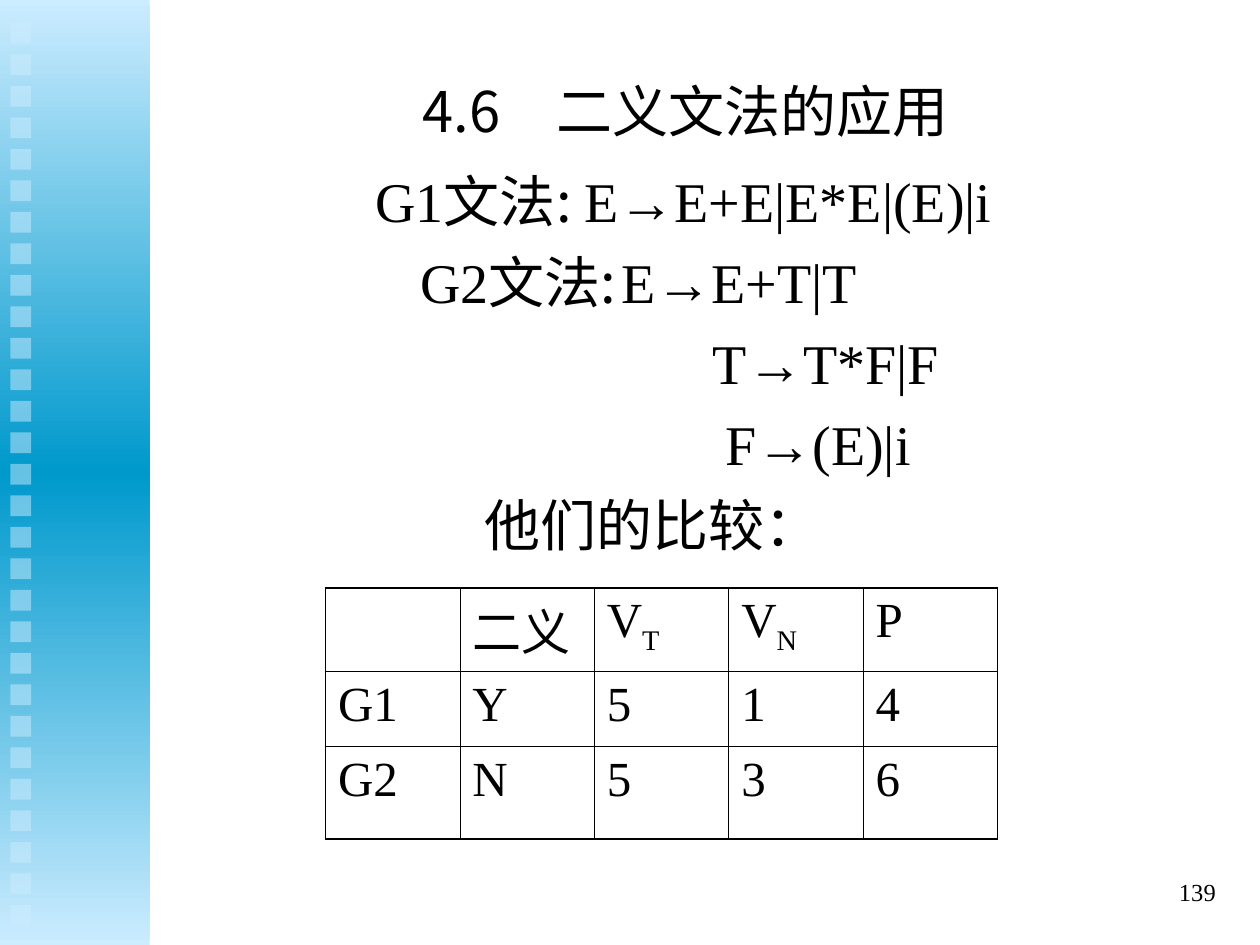
from copy import deepcopy

from lxml.etree import SubElement
from pptx import Presentation
from pptx.dml.color import RGBColor
from pptx.enum.shapes import MSO_SHAPE as Shape
from pptx.enum.text import MSO_ANCHOR as Anchor, PP_ALIGN as Align
from pptx.oxml.ns import qn
from pptx.util import Cm, Pt

BLACK = RGBColor(0x00, 0x00, 0x00)
PALE_BLUE = RGBColor(0xCC, 0xEC, 0xFF)
DEEP_BLUE = RGBColor(0x00, 0x99, 0xCC)
TIMES, ARIAL, NOTO = "Times New Roman", "Arial", "Noto Sans CJK SC"


def add_run(para, text, font=TIMES, subscript=False):
    """Append a run whose Chinese characters always use the Noto face."""
    run = para.add_run()
    run.text = text
    run.font.name = font
    properties = run.font._element
    SubElement(properties, qn("a:ea"), typeface=NOTO)
    if subscript:
        properties.set("baseline", "-25000")


def add_box(left, top, width, height, anchor):
    box = slide.shapes.add_textbox(Cm(left), Cm(top), Cm(width), Cm(height))
    box.text_frame.word_wrap = True
    box.text_frame.vertical_anchor = anchor
    return box.text_frame


deck = Presentation()
deck.slide_width, deck.slide_height = Cm(25.4), Cm(19.05)
slide = deck.slides.add_slide(deck.slide_layouts[6])

# Side band with its column of squares
side = slide.shapes.add_group_shape()
band = side.shapes.add_shape(Shape.RECTANGLE, 0, 0, Cm(3.02), deck.slide_height)
band.shadow.inherit = False
band.line.fill.background()
band.fill.gradient()
band.fill.gradient_angle = 90
stop_list = band._element.spPr.find(".//" + qn("a:gsLst"))
stop_list.append(deepcopy(stop_list[0]))
stops = zip(band.fill.gradient_stops, (0, 0.5, 1), (PALE_BLUE, DEEP_BLUE, PALE_BLUE))
for stop, position, color in stops:
    stop.position = position
    stop.color.rgb = color

SQUARES, FIRST_TOP, LAST_TOP = 29, 0.46, 18.24
step = (LAST_TOP - FIRST_TOP) / (SQUARES - 1)
for index in range(SQUARES):
    square = side.shapes.add_shape(
        Shape.RECTANGLE, Cm(0.21), Cm(FIRST_TOP + index * step), Cm(0.42), Cm(0.42))
    square.shadow.inherit = False
    square.line.fill.background()
    square.fill.solid()
    square.fill.fore_color.rgb = PALE_BLUE
    color_node = square._element.spPr.find(".//" + qn("a:srgbClr"))
    SubElement(color_node, qn("a:alpha"), val="50000")

# Grammar rules: first-line indent in cm, then (text, font) runs
grammar_lines = [
    (5.2, [("G1", TIMES), ("文法: ", NOTO), ("E", TIMES), ("→", ARIAL),
           ("E+E|E*E|(E)|i", TIMES)]),
    (6.1, [("G2", TIMES), ("文法:\t", NOTO), ("E", TIMES), ("→", ARIAL),
           ("E+T|T", TIMES)]),
    (12, [("T", TIMES), ("→", ARIAL), ("T*F|F", TIMES)]),
    (12.25, [("F", TIMES), ("→", ARIAL), ("(E)|i", TIMES)]),
    (7.4, [("他们的比较：", TIMES)]),
]
body = add_box(2.12, 1.48, 21.38, 16.08, Anchor.TOP)
body.margin_top = Cm(1.6)
for index, (indent, runs) in enumerate(grammar_lines):
    para = body.add_paragraph() if index else body.paragraphs[0]
    para.line_spacing = Pt(46.3)
    properties = para._p.get_or_add_pPr()
    properties.set("marL", "0")
    properties.set("indent", str(Cm(indent)))
    tabs = SubElement(properties, qn("a:tabLst"))
    SubElement(tabs, qn("a:tab"), pos=str(Cm(13.13)), algn="l")
    para.font.size = Pt(32)
    para.font.color.rgb = BLACK
    for text, font in runs:
        add_run(para, text, font)

# Comparison table; the second part of a heading is a subscript
rows = [
    [("",), ("二义",), ("V", "T"), ("V", "N"), ("P",)],
    [("G1",), ("Y",), ("5",), ("1",), ("4",)],
    [("G2",), ("N",), ("5",), ("3",), ("6",)],
]
row_heights = [1.68, 1.52, 1.86]
last_row, last_column = len(rows) - 1, len(rows[0]) - 1
table = slide.shapes.add_table(
    len(rows), len(rows[0]), Cm(6.56), Cm(11.85), Cm(13.55), Cm(sum(row_heights))).table
table.first_row = table.horz_banding = False
for column in table.columns:
    column.width = Cm(2.71)
for r, (row, height) in enumerate(zip(rows, row_heights)):
    table.rows[r].height = Cm(height)
    for c, parts in enumerate(row):
        cell = table.cell(r, c)
        outer_sides = {"L": c == 0, "R": c == last_column, "T": r == 0, "B": r == last_row}
        for edge, is_outer in outer_sides.items():
            width = Pt(1.08 if is_outer else 0.45)
            line = SubElement(cell._tc.get_or_add_tcPr(), qn("a:ln" + edge), w=str(width))
            SubElement(SubElement(line, qn("a:solidFill")), qn("a:srgbClr"), val=str(BLACK))
        cell.fill.background()
        para = cell.text_frame.paragraphs[0]
        para.space_before = Pt(7)
        para.font.size = Pt(28)
        para.font.color.rgb = BLACK
        for position, part in enumerate(parts):
            if part:
                add_run(para, part, subscript=position == 1)

# Title and page number
title = add_box(3.18, 0.64, 21.59, 3.18, Anchor.MIDDLE)
title.margin_right = Cm(0.56)
page_number = add_box(19.48, 17.35, 5.28, 1.27, Anchor.MIDDLE)
for frame, text, font, size, alignment in [
    (title, "4.6　二义文法的应用", NOTO, 32, Align.CENTER),
    (page_number, "139", TIMES, 14, Align.RIGHT),
]:
    para = frame.paragraphs[0]
    para.alignment = alignment
    para.font.size = Pt(size)
    para.font.color.rgb = BLACK
    add_run(para, text, font)

deck.save("out.pptx")
